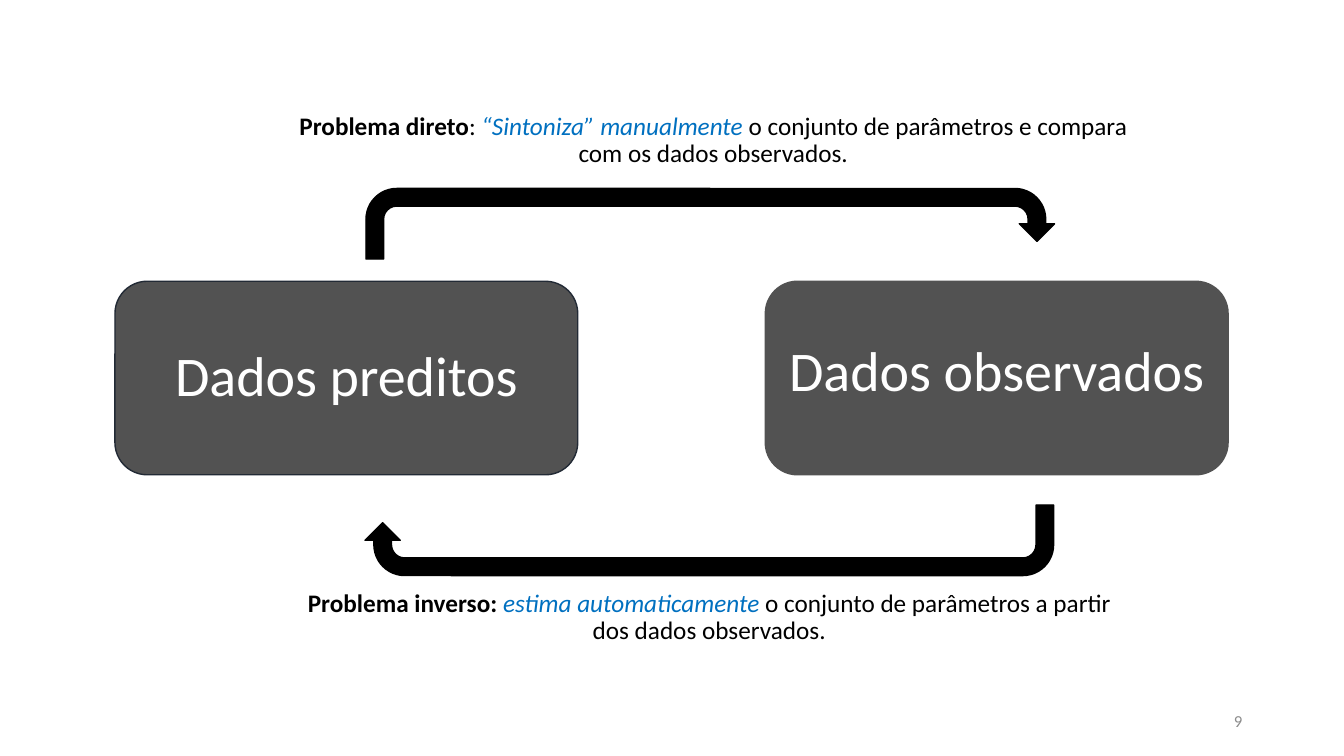
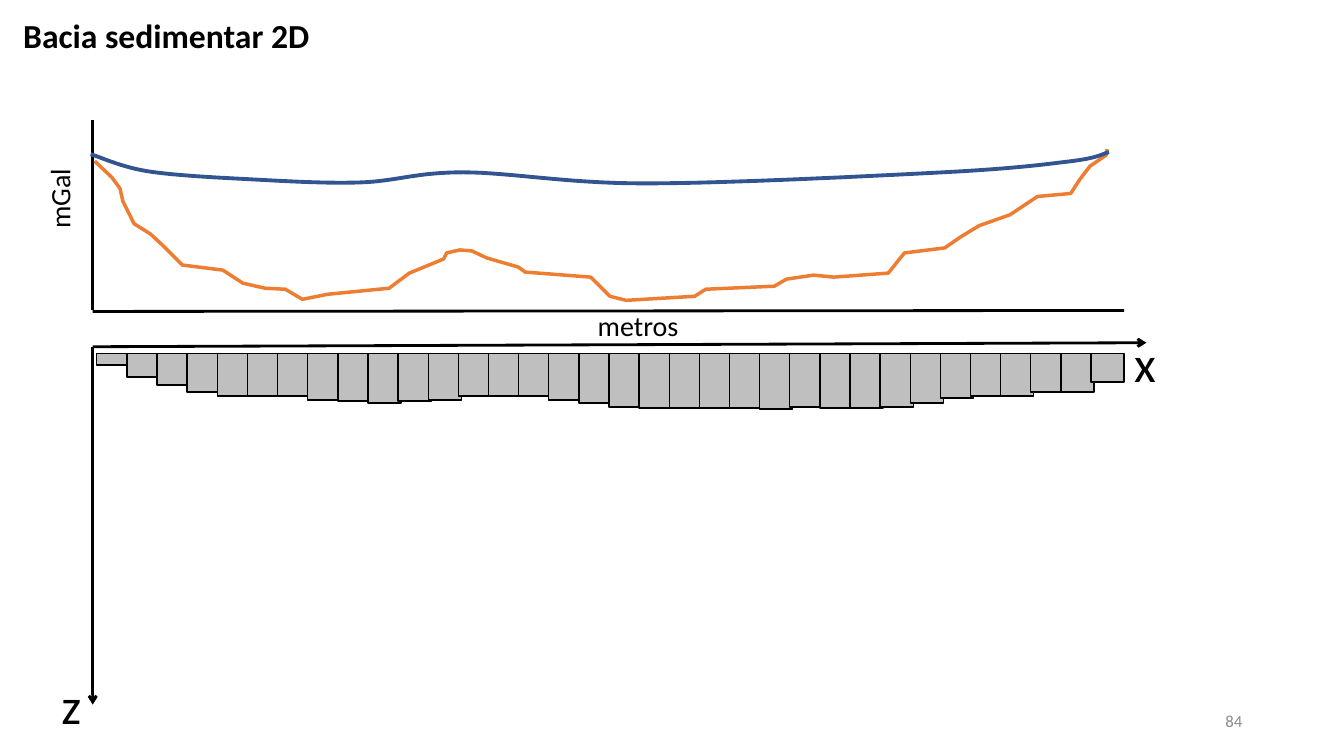
from lxml import etree
from pptx import Presentation
from pptx.dml.color import RGBColor
from pptx.enum.shapes import MSO_CONNECTOR, MSO_SHAPE
from pptx.enum.text import MSO_ANCHOR, MSO_AUTO_SIZE, PP_ALIGN
from pptx.oxml.ns import qn
from pptx.util import Inches, Pt

LEFT, CENTER, RIGHT = PP_ALIGN.LEFT, PP_ALIGN.CENTER, PP_ALIGN.RIGHT
TOP, MIDDLE = MSO_ANCHOR.TOP, MSO_ANCHOR.MIDDLE
FIT_SHAPE, NO_FIT = MSO_AUTO_SIZE.SHAPE_TO_FIT_TEXT, MSO_AUTO_SIZE.NONE
STRAIGHT = MSO_CONNECTOR.STRAIGHT
RECTANGLE = MSO_SHAPE.RECTANGLE
ROUNDED = MSO_SHAPE.ROUNDED_RECTANGLE
U_TURN = MSO_SHAPE.U_TURN_ARROW

FONT = "Calibri"
BLACK = RGBColor(0x00, 0x00, 0x00)
WHITE = RGBColor(0xFF, 0xFF, 0xFF)
PAGE_GRAY = RGBColor(0x8C, 0x8C, 0x8C)
BOX_GRAY = RGBColor(0x52, 0x52, 0x52)
BOX_EDGE = RGBColor(0x22, 0x2A, 0x35)
PRISM_GRAY = RGBColor(0xBF, 0xBF, 0xBF)
ACCENT_BLUE = RGBColor(0x00, 0x70, 0xC0)
CURVE_BLUE = RGBColor(0x32, 0x54, 0x91)
CURVE_ORANGE = RGBColor(0xED, 0x7D, 0x31)


def write_text(shape, text, size, color=BLACK, align=LEFT, anchor=TOP, wrap=True):
    """Write one formatted paragraph and return it."""
    frame = shape.text_frame
    frame.word_wrap = wrap
    frame.auto_size = NO_FIT if wrap else FIT_SHAPE
    frame.vertical_anchor = anchor
    para = frame.paragraphs[0]
    para.text = text
    para.alignment = align
    para.font.name = FONT
    para.font.size = Pt(size)
    para.font.color.rgb = color
    return para


def add_filled(page, preset, left, top, width, height, fill, edge):
    shape = page.shapes.add_shape(
        preset, Inches(left), Inches(top), Inches(width), Inches(height))
    shape.shadow.inherit = False
    shape.fill.solid()
    shape.fill.fore_color.rgb = fill
    shape.line.color.rgb = edge
    shape.line.width = Pt(1)
    return shape


deck = Presentation()
deck.slide_width, deck.slide_height = Inches(13.33), Inches(7.5)
title_only, blank = deck.slide_layouts[5], deck.slide_layouts[6]
problem_page = deck.slides.add_slide(blank)
basin_page = deck.slides.add_slide(title_only)

for page, number in ((problem_page, "9"), (basin_page, "84")):
    box = page.shapes.add_textbox(Inches(9.42), Inches(6.95), Inches(3), Inches(0.4))
    write_text(box, number, 12, PAGE_GRAY, RIGHT, MIDDLE)

# Slide 1: two data boxes, joined by a direct and an inverse arrow
for left, text, edge, bottom_inset in (
    (1.14, "Dados preditos", BOX_EDGE, 0.05),
    (7.59, "Dados observados", BOX_GRAY, 0.15),
):
    box = add_filled(problem_page, ROUNDED, left, 2.79, 4.59, 1.92, BOX_GRAY, edge)
    box.text_frame.margin_bottom = Inches(bottom_inset)
    para = write_text(box, text, 40, WHITE, CENTER, MIDDLE)
    para.line_spacing = 0.9

for left, top, rotation in ((3.63, 1.87, 0), (3.62, 5.01, 180)):
    arrow = add_filled(problem_page, U_TURN, left, top, 6.83, 0.7, BLACK, BLACK)
    arrow.rotation = rotation

for left, top, name, colon, action, rest in (
    (2.81, 1.08, "Problema direto", ": ", "“Sintoniza” manualmente ",
     "o conjunto de parâmetros e compara com os dados observados."),
    (2.77, 5.81, "Problema inverso: ", "", "estima automaticamente ",
     "o conjunto de parâmetros a partir dos dados observados."),
):
    box = problem_page.shapes.add_textbox(
        Inches(left), Inches(top), Inches(8.53), Inches(0.7))
    para = write_text(box, name, 18, align=CENTER)
    para.line_spacing = 0.9
    para.runs[0].font.bold = True
    if colon:
        para.add_run().text = colon
    span = para.add_run()
    span.text = action
    span.font.italic = True
    span.font.color.rgb = ACCENT_BLUE
    para.add_run().text = rest

# Slide 2: gravity plot above, basin section below, sharing the left edge
title = basin_page.shapes.title
title.left, title.top = Inches(0.13), Inches(0.1)
title.width, title.height = Inches(3.46), Inches(0.5)
write_text(title, "Bacia sedimentar 2D", 24).font.bold = True

AXIS_LEFT, PLOT_RIGHT = 0.92, 11.15
PLOT_TOP, PLOT_BOTTOM = 1.19, 3.08
SECTION_TOP, SECTION_BOTTOM = 3.44, 6.99
for x1, y1, x2, y2, has_arrow in (
    (AXIS_LEFT, PLOT_TOP, AXIS_LEFT, PLOT_BOTTOM, False),
    (PLOT_RIGHT, PLOT_BOTTOM, AXIS_LEFT, PLOT_BOTTOM + 0.01, False),
    (AXIS_LEFT, SECTION_TOP, AXIS_LEFT, SECTION_BOTTOM, True),
    (AXIS_LEFT, SECTION_TOP, PLOT_RIGHT + 0.22, SECTION_TOP - 0.04, True),
):
    axis = basin_page.shapes.add_connector(
        STRAIGHT, Inches(x1), Inches(y1), Inches(x2), Inches(y2))
    axis.line.color.rgb = BLACK
    axis.line.width = Pt(2)
    properties = axis.element.spPr
    if has_arrow:
        etree.SubElement(properties.find(qn("a:ln")), qn("a:tailEnd"), type="arrow")
    etree.SubElement(properties, qn("a:effectLst"))

# The observed anomaly is a jagged line: only its corners are given
left_flank = [(0.94, 1.6), (1.11, 1.76), (1.19, 1.87), (1.22, 2), (1.33, 2.22),
              (1.49, 2.32), (1.62, 2.44), (1.81, 2.63), (2.21, 2.68)]
left_trough = [(2.41, 2.81), (2.63, 2.86), (2.83, 2.87), (3, 2.97), (3.25, 2.92),
               (3.86, 2.86), (4.06, 2.71)]
central_high = [(4.4, 2.57), (4.43, 2.51), (4.56, 2.48), (4.68, 2.49), (4.83, 2.56),
                (5.14, 2.65), (5.21, 2.7), (5.86, 2.75)]
right_trough = [(6.05, 2.94), (6.21, 2.98), (6.89, 2.94), (7, 2.87), (7.68, 2.84),
                (7.8, 2.77), (8.07, 2.73), (8.27, 2.75), (8.81, 2.71)]
right_flank = [(8.97, 2.51), (9.37, 2.46), (9.53, 2.35), (9.71, 2.24), (10.02, 2.13),
               (10.29, 1.95), (10.62, 1.92), (10.71, 1.78), (10.81, 1.65),
               (10.97, 1.54), (10.98, 1.48)]
observed_points = left_flank + left_trough + central_high + right_trough + right_flank

# The predicted anomaly is a smooth Catmull-Rom spline through a few knots
predicted_knots = [(0.9, 1.53), (1.47, 1.7), (2.5, 1.78), (3.58, 1.81), (4.6, 1.71),
                   (6.4, 1.82), (9.35, 1.71), (10.62, 1.6), (11, 1.51)]
STEPS = 16
padded = predicted_knots[:1] + predicted_knots + predicted_knots[-1:]
predicted_points = predicted_knots[:1]
for before, start, end, after in zip(padded, padded[1:], padded[2:], padded[3:]):
    for step in range(1, STEPS + 1):
        t = step / STEPS
        predicted_points.append(tuple(
            b + ((c - a) * t
                 + (2 * a - 5 * b + 4 * c - d) * t ** 2
                 + (3 * b - a - 3 * c + d) * t ** 3) / 2
            for a, b, c, d in zip(before, start, end, after)))

for points, color, width in (
    (observed_points, CURVE_ORANGE, 2.5),
    (predicted_points, CURVE_BLUE, 2.75),
):
    corners = [(Inches(x), Inches(y)) for x, y in points]
    builder = basin_page.shapes.build_freeform(*corners[0])
    builder.add_line_segments(corners[1:], close=False)
    curve = builder.convert_to_shape()
    curve.shadow.inherit = False
    curve.fill.background()
    curve.line.color.rgb = color
    curve.line.width = Pt(width)

# Equal prisms fill the section; each covers the right edge of the one before
PRISMS_LEFT, PRISMS_TOP, PRISM_OVERLAP = 0.96, 3.51, 0.03
prism_depths = [
    0.11, 0.23, 0.31, 0.38, 0.42, 0.42, 0.42, 0.46, 0.47, 0.49, 0.47, 0.46,
    0.42, 0.42, 0.42, 0.46, 0.49, 0.53, 0.54, 0.54, 0.54, 0.54, 0.55, 0.53,
    0.54, 0.54, 0.53, 0.49, 0.44, 0.42, 0.42, 0.38, 0.38, 0.28,
]
prism_pitch = (PLOT_RIGHT - PRISM_OVERLAP - PRISMS_LEFT) / len(prism_depths)
for index, depth in enumerate(prism_depths):
    add_filled(basin_page, RECTANGLE, PRISMS_LEFT + index * prism_pitch, PRISMS_TOP,
               prism_pitch + PRISM_OVERLAP, depth, PRISM_GRAY, BLACK)

for left, top, width, height, text, size, direction in (
    (0.51, 6.64, 0.4, 0.71, "z", 36, "horz"),
    (PLOT_RIGHT, 3.25, 0.43, 0.71, "x", 36, "horz"),
    (5.83, 3.01, 1.01, 0.44, "metros", 20, "horz"),
    (0.37, 1.67, 0.54, 0.7, "mGal", 20, "vert270"),
):
    label = basin_page.shapes.add_textbox(
        Inches(left), Inches(top), Inches(width), Inches(height))
    write_text(label, text, size, wrap=False)
    label.text_frame._txBody.bodyPr.set("vert", direction)

deck.save("out.pptx")
